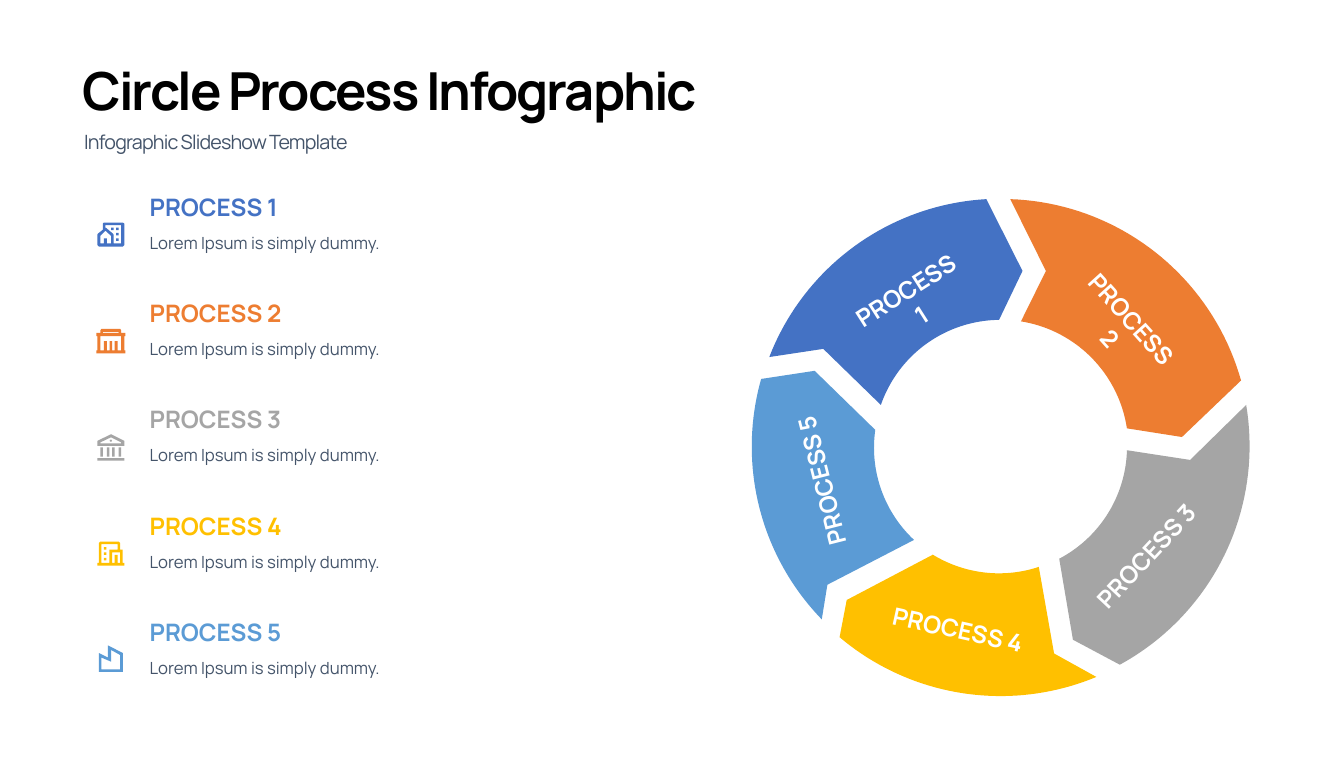
"""Build the circle process infographic slide."""
from dataclasses import dataclass
from math import atan2, cos, hypot, remainder, sin, tau

from pptx import Presentation
from pptx.dml.color import RGBColor
from pptx.enum.text import MSO_ANCHOR, MSO_AUTO_SIZE, PP_ALIGN
from pptx.util import Pt

PX = 9144


@dataclass(frozen=True)
class Theme:
    font: str = "Manrope"
    black: str = "000000"
    slate: str = "44546A"
    white: str = "FFFFFF"
    accents: tuple = ("4472C4", "ED7D31", "A5A5A5", "FFC000", "5B9BD5")
    title: float = 74
    subtitle: float = 27.8
    heading: float = 34
    body: float = 23.7


T = Theme()


def box(x, y, w, h):
    return [(x, y), (x + w, y), (x + w, y + h), (x, y + h)]


TITLE = "Circle Process Infographic"
SUBTITLE = "Infographic Slideshow Template"
NAMES = ["PROCESS 1", "PROCESS 2", "PROCESS 3", "PROCESS 4", "PROCESS 5"]
DETAIL = "Lorem Ipsum is simply dummy."

HOUSE = [
    [(52, 52), (5, 52), (2, 49), (2, 29), (3, 27), (13, 19), (13, 7), (15, 5),
     (52, 5), (55, 7), (55, 49)],
    [(21, 46), (29, 46), (29, 31), (18, 21), (8, 31), (8, 46), (15, 46), (15, 36), (21, 36)],
    [(34, 46), (49, 46), (49, 10), (18, 10), (18, 15), (20, 16), (33, 27), (34, 29)],
    *[box(x, y, 5, 5) for x, y in [(29, 15), (39, 15), (39, 25), (39, 36)]],
]
HALL = [
    [(49, 13), (57, 13), (57, 19), (55, 19), (55, 47), (57, 47), (57, 53), (0, 53), (0, 47),
     (2, 47), (2, 19), (0, 19), (0, 13), (8, 13), (8, 8), (10, 5), (47, 5), (49, 8)],
    [(49, 19), (8, 19), (8, 47), (15, 47), (15, 29), (21, 29), (21, 47), (26, 47), (26, 29),
     (31, 29), (31, 47), (36, 47), (36, 29), (42, 29), (42, 47), (49, 47)],
    box(13, 11, 31, 2),
]
BANK = [
    box(2, 50, 53, 5),
    *[box(x, 29, 5, 18) for x in (8, 21, 31, 44)],
    [(2, 16), (29, 3), (55, 16), (55, 26), (2, 26)],
    [(8, 19), (8, 21), (49, 21), (49, 19), (29, 9)],
    [(29, 18), (26, 16), (29, 13), (31, 16)],
]
OFFICE = [
    [(55, 52), (2, 52), (2, 47), (5, 47), (5, 8), (8, 5), (44, 5), (47, 8), (47, 21),
     (52, 21), (52, 47), (55, 47)],
    [(42, 47), (47, 47), (47, 26), (31, 26), (31, 47), (36, 47), (36, 31), (42, 31)],
    [(42, 21), (42, 10), (10, 10), (10, 47), (26, 47), (26, 21)],
    *[box(15, y, 5, 5) for y in (16, 26, 37)],
]
FACTORY = [
    [(23, 24), (23, 0), (52, 15), (52, 52), (5, 52), (5, 15)],
    [(29, 9), (29, 32), (10, 24), (10, 47), (47, 47), (47, 19)],
]
ICONS = [HOUSE, HALL, BANK, OFFICE, FACTORY]
ROW_TOP, ROW_STEP = 372, 208.75

RING_CENTER = (1963, 877)
SEGMENT_PARTS = ("inner_from", "inner_to", "tip", "outer_from", "outer_to", "notch")
SEGMENTS = [
    [(1729, 795), (1961, 628), (2007, 532), (1936, 391), (1510, 701), (1616, 685)],
    [(2004, 631), (2212, 841), (2320, 858), (2436, 747), (1983, 391), (2053, 532)],
    [(2212, 884), (2079, 1097), (2106, 1256), (2198, 1305), (2446, 795), (2336, 903)],
    [(2039, 1113), (1831, 1089), (1662, 1178), (1648, 1251), (2152, 1329), (2069, 1283)],
    [(1794, 1060), (1718, 844), (1599, 728), (1494, 744), (1613, 1216), (1624, 1148)],
]
RING_LABELS = [
    (1644, 536, 267, 327.4),
    (2083, 593, 276, 47.9),
    (2110, 1058, 278, 313.1),
    (1739, 1202, 282, 12.5),
    (1472, 910, 280, 255.8),
]


def emu(*lengths):
    return [round(v * PX) for v in lengths]


def arc(start, end, steps=40):
    cx, cy = RING_CENTER
    (a, ra), (b, rb) = [(atan2(y - cy, x - cx), hypot(x - cx, y - cy)) for x, y in (start, end)]
    sweep = remainder(b - a, tau)
    points = []
    for i in range(steps + 1):
        t = i / steps
        r = ra + (rb - ra) * t
        points.append((cx + r * cos(a + sweep * t), cy + r * sin(a + sweep * t)))
    return points


def draw_outline(shapes, contours, color, dx=0, dy=0):
    placed = [[emu(x + dx, y + dy) for x, y in c] for c in contours]
    fb = shapes.build_freeform(*placed[0][0])
    for i, points in enumerate(placed):
        if i:
            fb.move_to(*points[0])
        fb.add_line_segments(points[1:], close=True)
    sp = fb.convert_to_shape()
    sp.shadow.inherit = False
    sp.fill.solid()
    sp.fill.fore_color.rgb = RGBColor.from_string(color)
    sp.line.fill.background()


def write(sp, text, size, color, bold=False, leading=None, align=PP_ALIGN.LEFT, spacing=0,
          wrap=True, fit=MSO_AUTO_SIZE.SHAPE_TO_FIT_TEXT):
    tf = sp.text_frame
    tf.word_wrap = wrap
    tf.auto_size = fit
    tf.vertical_anchor = MSO_ANCHOR.TOP
    p = tf.paragraphs[0]
    p.alignment = align
    p.space_before = Pt(0)
    if leading:
        p.line_spacing = Pt(leading)
    r = p.add_run()
    r.text = text
    r.font.name = T.font
    r.font.size = Pt(size)
    r.font.bold = bold
    r.font.color.rgb = RGBColor.from_string(color)
    if spacing:
        r.font._element.set("spc", str(round(spacing * 100)))
        r.font._element.set("cap", "none")


def place(sp, *frame):
    sp.left, sp.top, sp.width, sp.height = emu(*frame)


def main():
    prs = Presentation()
    prs.slide_width, prs.slide_height = emu(2638, 1496)
    s = prs.slides.add_slide(prs.slide_layouts[2])
    title, subtitle = s.placeholders
    place(title, 152, 102, 2024, 138)
    write(title, TITLE, T.title, T.black, True, 94, spacing=-2.9, fit=MSO_AUTO_SIZE.NONE)
    place(subtitle, 155, 237, 1924, 65)
    write(subtitle, SUBTITLE, T.subtitle, T.slate, leading=42, spacing=-1.2,
          fit=MSO_AUTO_SIZE.NONE)

    for segment, color in zip(SEGMENTS, T.accents):
        part = dict(zip(SEGMENT_PARTS, segment))
        outline = [*arc(part["inner_from"], part["inner_to"]), part["tip"],
                   *arc(part["outer_from"], part["outer_to"]), part["notch"]]
        draw_outline(s.shapes, [outline], color)

    for name, (x, y, w, angle) in zip(NAMES, RING_LABELS):
        sp = s.shapes.add_textbox(*emu(x, y, w, 67))
        sp.rotation = angle
        write(sp, name, T.heading, T.white, True, align=PP_ALIGN.CENTER, wrap=False)

    for i, (name, icon, color) in enumerate(zip(NAMES, ICONS, T.accents)):
        y = ROW_TOP + ROW_STEP * i
        row = s.shapes.add_group_shape().shapes
        write(row.add_textbox(*emu(284, y, 954, 67)), name, T.heading, color, True)
        write(row.add_textbox(*emu(284, y + 69, 954, 57)), DETAIL, T.body, T.slate, leading=36)
        draw_outline(row, icon, color, 189, y + 60)

    prs.save("out.pptx")


if __name__ == "__main__":
    main()
